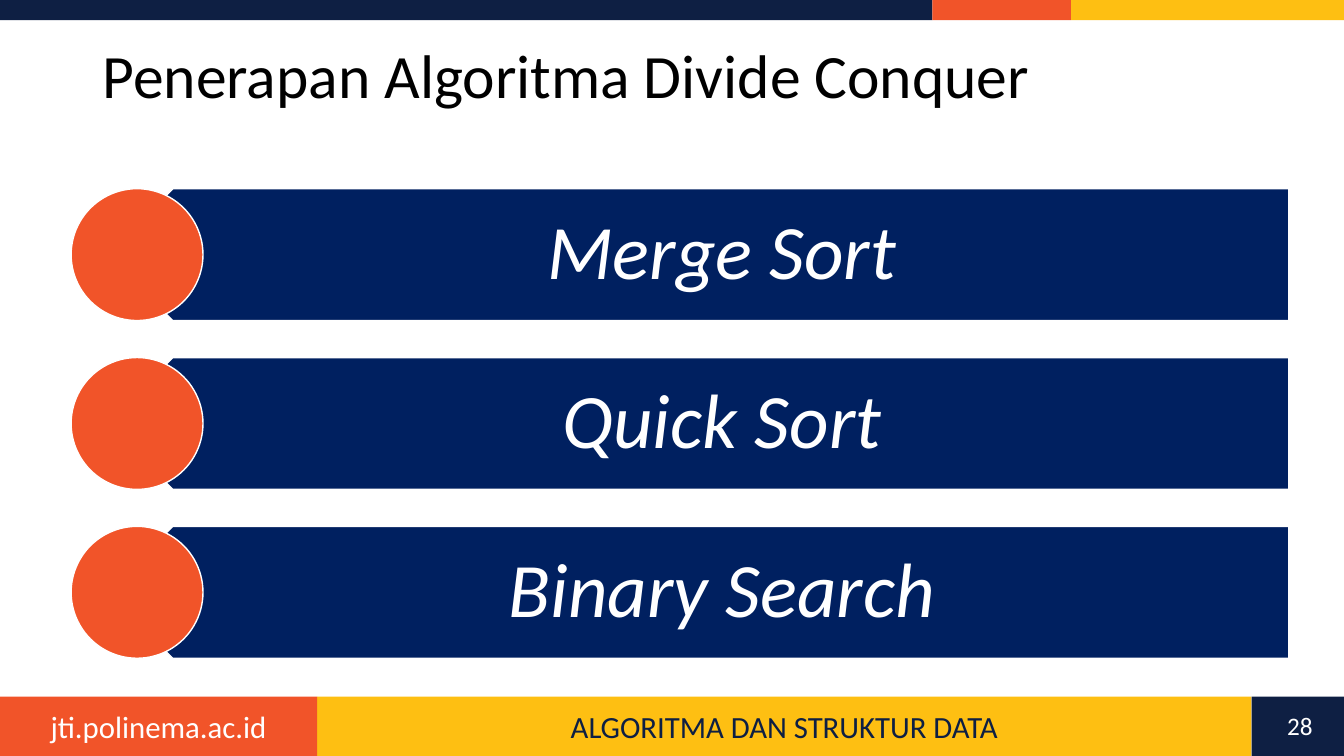
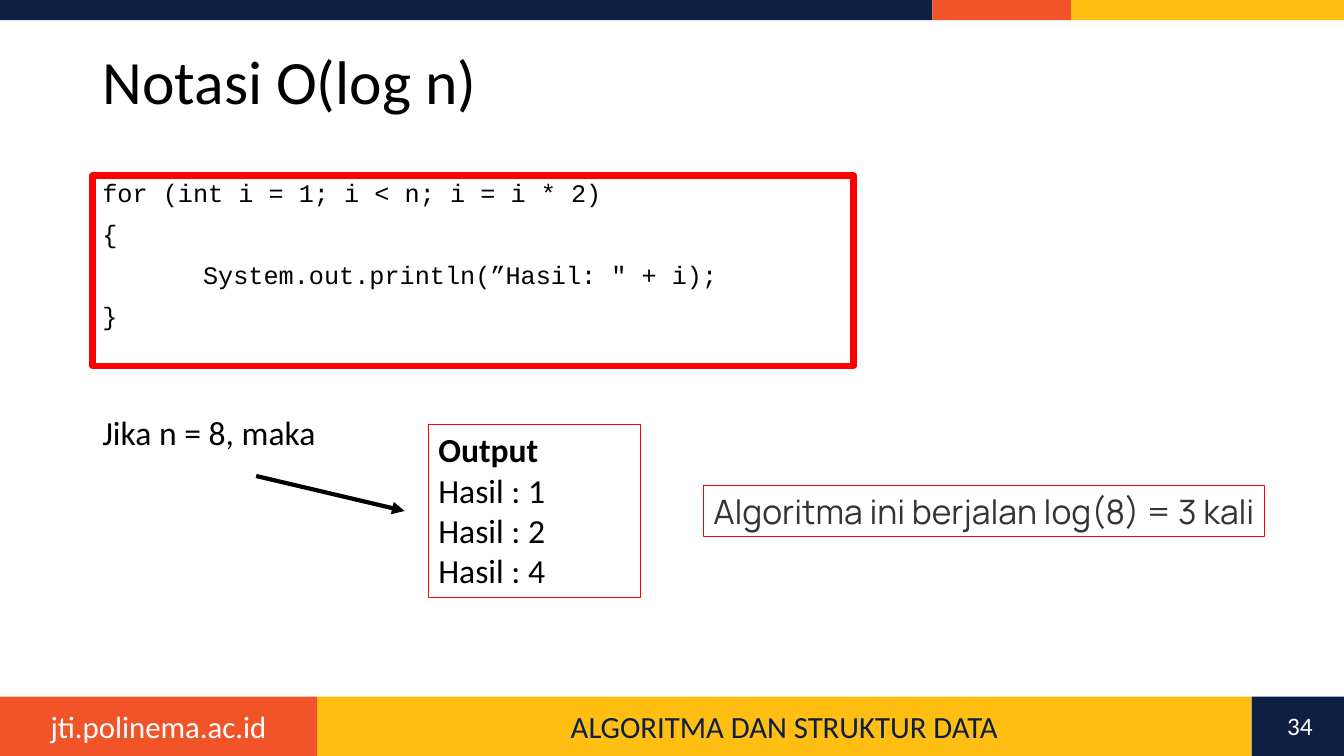
from dataclasses import dataclass
from lxml.etree import SubElement
from pptx import Presentation
from pptx.dml.color import RGBColor as RGB
from pptx.enum.shapes import MSO_CONNECTOR as LINK, MSO_SHAPE as FORM
from pptx.enum.text import MSO_ANCHOR as ANCHOR, MSO_AUTO_SIZE as FIT, PP_ALIGN as ALIGN
from pptx.oxml.ns import qn
from pptx.util import Pt


@dataclass(frozen=True)
class Theme:
    navy: str = "0E1F43"
    blue: str = "002060"
    coral: str = "F15429"
    gold: str = "FEBF12"
    red: str = "FF0000"
    black: str = "000000"
    gray: str = "333333"
    white: str = "FFFFFF"
    sans: str = "Calibri"
    mono: str = "Courier New"
    alt: str = "Manrope"
    title: int = 44
    label: int = 55
    body: int = 24
    foot: int = 22
    small: int = 18


look = Theme()


def write(frame, text, size=look.body, color=look.black, font=look.sans,
          align=ALIGN.LEFT, anchor=ANCHOR.TOP, wrap=True, lead=None,
          gap=0, italic=False, head=False, tab=None):
    """Fill a text frame, one paragraph a line; head makes the first line bold."""
    frame.word_wrap = wrap
    frame.auto_size = FIT.NONE
    frame.vertical_anchor = anchor
    for n, line in enumerate(text.split("\n")):
        para = frame.add_paragraph() if n else frame.paragraphs[0]
        para.alignment = align
        para.line_spacing = lead
        para.space_before = Pt(gap if n else 0)
        if tab and "\t" in line:
            tabs = SubElement(para._p.get_or_add_pPr(), qn("a:tabLst"))
            SubElement(tabs, qn("a:tab"), pos=str(Pt(tab)), algn="l")
        run = para.add_run()
        run.text = line
        face = run.font
        face.name, face.size = font, Pt(size)
        face.color.rgb = RGB.from_string(color)
        face.italic = italic
        face.bold = head and n == 0


def block(slide, form, x, y, w, h, fill=None, edge=None, width=1):
    """Add a preset shape, or a text box when form is None."""
    spot = [Pt(v) for v in (x, y, w, h)]
    if form is None:
        shape = slide.shapes.add_textbox(*spot)
    else:
        shape = slide.shapes.add_shape(form, *spot)
        shape.shadow.inherit = False
    if fill:
        shape.fill.solid()
        shape.fill.fore_color.rgb = RGB.from_string(fill)
    else:
        shape.fill.background()
    if edge:
        shape.line.color.rgb = RGB.from_string(edge)
        shape.line.width = Pt(width)
    else:
        shape.line.fill.background()
    return shape


deck = Presentation()
deck.slide_width, deck.slide_height = Pt(960), Pt(540)
plan = deck.slide_layouts[5]

# Titles and page numbers
pages = []
for name, tall, num in (("Penerapan Algoritma Divide Conquer", 54, "28"),
                        ("Notasi O(log n)", 62.6, "34")):
    slide = deck.slides.add_slide(plan)
    title = slide.shapes.title
    title.left, title.top = Pt(66), Pt(28.8)
    title.width, title.height = Pt(737.3), Pt(tall)
    write(title.text_frame, name, size=look.title, anchor=ANCHOR.MIDDLE, lead=0.9)
    box = block(slide, None, 906.5, 504, 44, 28.8)
    write(box.text_frame, num, size=look.small, color=look.white, align=ALIGN.CENTER)
    pages.append(slide)
sorts, cost = pages

# Bands shared through the layout
for spare in list(plan.placeholders)[1:]:
    spare.element.getparent().remove(spare.element)
bands = (
    (0, 0, 666, 14.4, look.navy, "", None),
    (666, 0, 99, 14.4, look.coral, "", None),
    (765, 0, 195, 14.4, look.gold, "", None),
    (226.5, 497.5, 667.5, 42.5, look.gold, "ALGORITMA DAN STRUKTUR DATA", look.navy),
    (0, 497.5, 226.5, 42.5, look.coral, "jti.polinema.ac.id", look.white),
    (894, 497.5, 66, 42.5, look.navy, "", None),
)
for n, (x, y, w, h, fill, text, ink) in enumerate(bands):
    band = block(sorts, FORM.RECTANGLE, x, y, w, h, fill)
    if text:
        write(band.text_frame, text, size=look.foot, color=ink,
              align=ALIGN.CENTER, anchor=ANCHOR.MIDDLE)
    band.element.nvSpPr.cNvPr.set("id", str(100 + n))
    plan.element.cSld.spTree.append(band.element)

# Slide 1: one bar and disc for each algorithm
side = 94.2
for n, name in enumerate(("Merge Sort", "Quick Sort", "Binary Search")):
    top = 134.8 + n * 120.6
    bar = block(sorts, FORM.PENTAGON, 76.3, top, 844.3, side, look.blue, look.white)
    bar.rotation = 180
    text = block(sorts, None, 99.8, top, 820.8, side).text_frame
    text.margin_left, text.margin_right = Pt(41.5), Pt(30.8)
    write(text, name, size=look.label, color=look.white, italic=True,
          align=ALIGN.CENTER, anchor=ANCHOR.MIDDLE, lead=0.9)
    block(sorts, FORM.OVAL, 50.8, top, side, side, look.coral, look.white)

# Slide 2: code
code = """for (int i = 1; i < n; i = i * 2)
{
\tSystem.out.println(”Hasil: " + i);
}"""
box = block(cost, None, 66, 125.3, 543.6, 136.1, edge=look.red, width=4.5)
write(box.text_frame, code, size=look.small, font=look.mono, lead=0.9, gap=10, tab=72)

# Slide 2: case, output and result
box = block(cost, None, 66, 291, 181, 36)
write(box.text_frame, "Jika n = 8, maka")
box = block(cost, None, 306, 303, 151.5, 124, edge=look.red, width=0.75)
write(box.text_frame, "Output\nHasil : 1\nHasil : 2\nHasil : 4", head=True)
box = block(cost, None, 502.5, 347, 401, 36, edge=look.red, width=0.75)
write(box.text_frame, "Algoritma ini berjalan log(8) = 3 kali",
      color=look.gray, font=look.alt, wrap=False)

# Slide 2: arrow to the output
arrow = cost.shapes.add_connector(LINK.STRAIGHT, Pt(183), Pt(340), Pt(289), Pt(365))
arrow.line.color.rgb = RGB.from_string(look.black)
arrow.line.width = Pt(3)
SubElement(arrow.line._get_or_add_ln(), qn("a:tailEnd"), type="triangle")
SubElement(arrow.element.spPr, qn("a:effectLst"))

deck.save("out.pptx")
